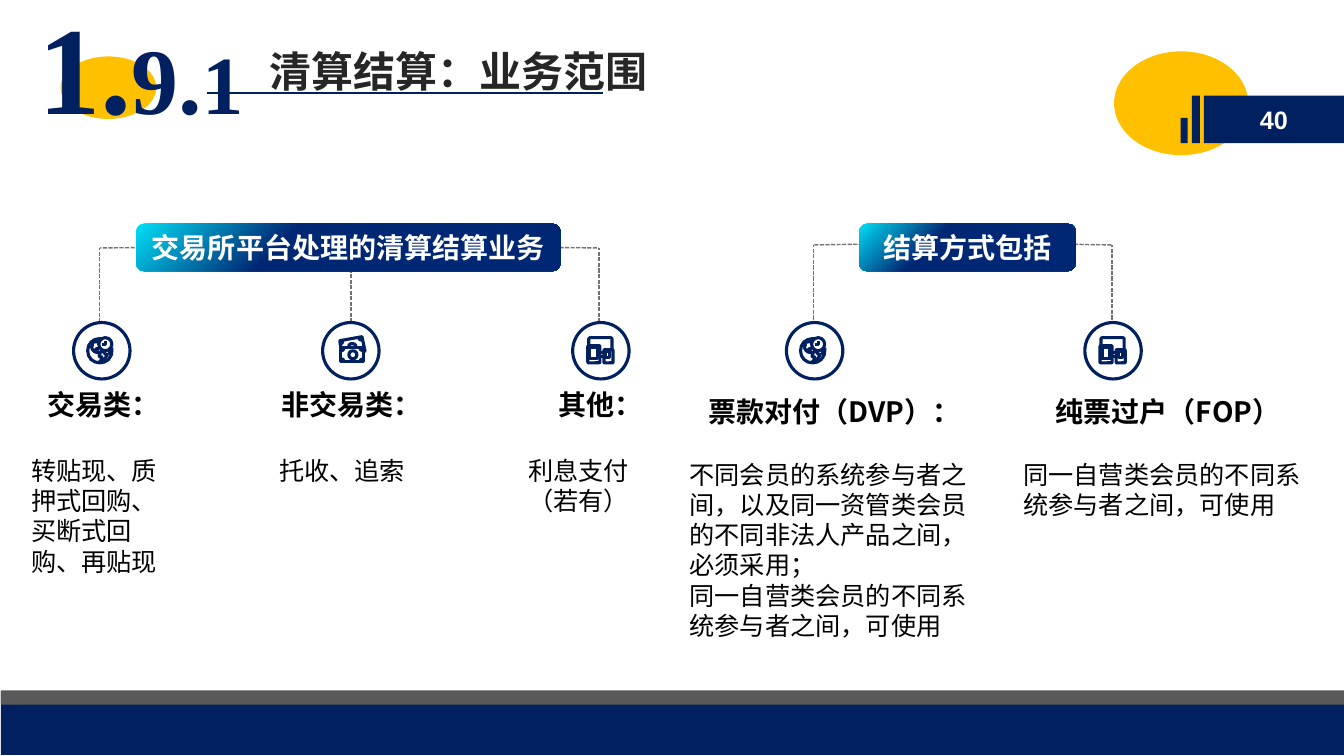
import pptx
import pptx.util
import pptx.dml.color
import pptx.enum.dml
import pptx.enum.shapes
import pptx.enum.text
import pptx.oxml.ns
import lxml.etree
import dataclasses

SCALE = 9144
SHAPE = pptx.enum.shapes.MSO_SHAPE
ALIGN = pptx.enum.text.PP_ALIGN
ANCHOR = pptx.enum.text.MSO_ANCHOR


@dataclasses.dataclass(frozen=True)
class Theme:
    navy: str = "002060"
    gold: str = "FFC000"
    gray: str = "595959"
    dash: str = "767171"
    ink: str = "262626"
    black: str = "000000"
    white: str = "FFFFFF"
    cyan: str = "00DFF6"
    deep: str = "002774"
    sans: str = "Noto Sans CJK SC"
    serif: str = "Times New Roman"
    latin: str = "Arial"
    title: int = 30
    head: int = 20
    body: int = 18
    section: tuple = (89, 67, 59)
    icon_line: float = 2.25


THEME = Theme()


def px(n):
    return pptx.util.Emu(round(n * SCALE))


def rgb(value):
    return pptx.dml.color.RGBColor.from_string(value)


def write(p, text, size=THEME.body, color=THEME.black, font=THEME.sans, bold=False):
    r = p.add_run()
    r.text = text
    r.font.size = pptx.util.Pt(size)
    r.font.bold = bold
    r.font.name = font
    r.font.color.rgb = rgb(color)
    ea = lxml.etree.SubElement(r.font._element, pptx.oxml.ns.qn("a:ea"))
    ea.set("typeface", font)


def curve(start, *beziers, steps=4):
    points = [start]
    for x1, y1, x2, y2, x3, y3 in beziers:
        x0, y0 = points[-1]
        for i in range(1, steps + 1):
            t = i / steps
            u = 1 - t
            a, b, c, d = u ** 3, 3 * u * u * t, 3 * u * t * t, t ** 3
            points.append((a * x0 + b * x1 + c * x2 + d * x3,
                           a * y0 + b * y1 + c * y2 + d * y3))
    return points


GLOBE = [
    ("oval", (25, 15, 13, 13)),
    ("path", [(28, 22), (32, 22), (32, 18)]),
    ("path", curve((29, 16), (28, 16, 27, 16, 26, 16), (19, 16, 14, 21, 14, 28),
                   (14, 35, 19, 40, 26, 40), (33, 40, 38, 35, 38, 28), (38, 27, 38, 26, 38, 25))),
    ("path", curve((26, 20), (25, 20, 24, 19, 23, 19), (21, 19, 17, 20, 18, 21),
                   (19, 22, 19, 23, 18, 23), (18, 25, 18, 27, 21, 29), (24, 30, 25, 30, 25, 30),
                   (25, 29, 24, 29, 24, 29), (23, 29, 23, 28, 23, 28), (24, 27, 23, 28, 22, 27),
                   (22, 26, 23, 26, 23, 26), (25, 26, 25, 25, 26, 24))),
    ("path", curve((26, 32), (26, 34, 24, 32, 26, 34), (27, 35, 28, 32, 28, 36),
                   (27, 39, 24, 39, 27, 39), (29, 38, 29, 38, 30, 37), (32, 35, 32, 34, 33, 33),
                   (34, 31, 33, 32, 31, 31), (31, 30, 29, 28, 27, 29), (26, 31, 26, 32, 26, 32))),
    ("path", curve((37, 26), (36, 28, 35, 30, 36, 31), (38, 32, 38, 31, 38, 31))),
]
CASH = [
    ("oval", (26, 28, 8, 8)),
    ("path", curve((26, 24), (26, 22, 27, 21, 29, 21), (32, 21, 33, 22, 33, 24))),
    ("rect", (18, 25, 23, 14)),
    ("path", curve((21, 25), (21, 27, 20, 28, 18, 28))),
    ("path", curve((41, 28), (39, 28, 37, 27, 37, 25))),
    ("path", curve((37, 39), (37, 37, 39, 36, 41, 36))),
    ("path", curve((18, 36), (20, 36, 21, 37, 21, 39))),
    ("path", [(18, 25), (17, 18), (39, 14), (42, 28), (41, 29)]),
    ("path", curve((20, 18), (20, 20, 19, 21, 17, 22))),
    ("path", curve((40, 17), (38, 18, 36, 17, 36, 15))),
]
DEVICES = [
    ("path", [(27, 34), (31, 34)]),
    ("path", [(27, 30), (31, 30)]),
    ("path", [(39, 27), (39, 16), (38, 15), (17, 15), (16, 16), (16, 23)]),
    ("round", (15, 23, 12, 17)),
    ("rect", (17, 25, 8, 11)),
    ("round", (31, 27, 9, 13)),
    ("rect", (33, 29, 4, 6)),
]
KINDS = {"oval": SHAPE.OVAL, "rect": SHAPE.RECTANGLE, "round": SHAPE.ROUNDED_RECTANGLE}


class Deck:
    def __init__(self, theme):
        self.theme = theme
        self.prs = pptx.Presentation()
        self.prs.slide_width, self.prs.slide_height = px(1333), px(750)
        self.s = self.prs.slides.add_slide(self.prs.slide_layouts[6])

    def style(self, sp, fill=None, line=None):
        sp.shadow.inherit = False
        if fill:
            sp.fill.solid()
            sp.fill.fore_color.rgb = rgb(fill)
        else:
            sp.fill.background()
        if line:
            sp.line.color.rgb = rgb(line)
            sp.line.width = pptx.util.Pt(self.theme.icon_line)
        else:
            sp.line.fill.background()
        return sp

    def shape(self, kind, x, y, w, h, fill=None, line=None):
        sp = self.s.shapes.add_shape(kind, px(x), px(y), px(w), px(h))
        return self.style(sp, fill, line)

    def label(self, sp, text, size, font):
        tf = sp.text_frame
        tf.vertical_anchor = ANCHOR.MIDDLE
        p = tf.paragraphs[0]
        p.alignment = ALIGN.CENTER
        write(p, text, size=size, color=self.theme.white, font=font, bold=True)

    def text(self, x, y, w, h):
        tf = self.s.shapes.add_textbox(px(x), px(y), px(w), px(h)).text_frame
        tf.word_wrap = True
        return tf

    def line(self, x1, y1, x2, y2, color, width, dash=None):
        c = self.s.shapes.add_connector(pptx.enum.shapes.MSO_CONNECTOR.STRAIGHT,
                                        px(x1), px(y1), px(x2), px(y2))
        c.line.color.rgb = rgb(color)
        c.line.width = pptx.util.Pt(width)
        c.line.dash_style = dash
        lxml.etree.SubElement(c._element.spPr, pptx.oxml.ns.qn("a:effectLst"))

    def dashed(self, *ends):
        self.line(*ends, self.theme.dash, 1, pptx.enum.dml.MSO_LINE.SQUARE_DOT)

    def branch(self, x, inner, y, bottom):
        self.dashed(x, bottom, x, y)
        self.dashed(inner, y - 2, x, y)

    def icon(self, x, y, parts):
        color = self.theme.navy
        self.shape(SHAPE.OVAL, x, y, 56, 56, line=color)
        for kind, data in parts:
            if kind == "path":
                points = [(px(x + a), px(y + b)) for a, b in data]
                fb = self.s.shapes.build_freeform(*points[0], scale=1.0)
                fb.add_line_segments(points[1:], close=points[0] == points[-1])
                self.style(fb.convert_to_shape(), line=color)
            else:
                left, top, w, h = data
                sp = self.shape(KINDS[kind], x + left, y + top, w, h, line=color)
                if kind == "round":
                    sp.adjustments[0] = 0.08

    def pill(self, x, w, text):
        sp = self.shape(SHAPE.ROUNDED_RECTANGLE, x, 222, w, 47)
        sp.fill.gradient()
        sp.fill.gradient_angle = 315
        stops = zip(sp.fill.gradient_stops, (0, 0.35), (self.theme.cyan, self.theme.deep))
        for stop, position, color in stops:
            stop.position = position
            stop.color.rgb = rgb(color)
        self.label(sp, text, self.theme.head, self.theme.sans)

    def column(self, x, y, w, h, head, paragraphs, gap, spacing=None):
        tf = self.text(x, y, w, h)
        p = tf.paragraphs[0]
        p.alignment = ALIGN.CENTER
        p.line_spacing = spacing
        write(p, head, size=self.theme.head, bold=True)
        for i, text in enumerate(paragraphs):
            p = tf.add_paragraph()
            p.space_before = pptx.util.Pt(0 if i else gap)
            p._p.get_or_add_pPr().set("hangingPunct", "0")
            write(p, text)


def main():
    t = THEME
    d = Deck(t)
    d.shape(SHAPE.OVAL, 1105, 51, 133, 103, t.gold)
    d.shape(SHAPE.RECTANGLE, 1, 686, 1332, 63, t.navy)
    d.shape(SHAPE.RECTANGLE, 1, 685, 1332, 14, t.gray)
    d.label(d.shape(SHAPE.RECTANGLE, 1194, 95, 139, 47, t.navy), "40", t.body, t.latin)
    d.shape(SHAPE.RECTANGLE, 1182, 95, 8, 47, t.navy)
    d.shape(SHAPE.RECTANGLE, 1171, 117, 7, 25, t.navy)
    d.shape(SHAPE.OVAL, 60, 56, 95, 62, t.gold)
    write(d.text(257, 40, 538, 61).paragraphs[0], "清算结算：业务范围",
          size=t.title, color=t.ink, bold=True)
    d.line(205, 92, 598, 92, t.navy, 1.5)
    p = d.text(28, -15, 308, 160).paragraphs[0]
    for text, size in zip(("1.", "9.", "1"), t.section):
        write(p, text, size=size, color=t.navy, font=t.serif, bold=True)

    for x, inner in ((99, 310), (594, 384)):
        d.branch(x, inner, 246, 320)
    d.dashed(348, 320, 348, 246)
    for x, inner in ((807, 933), (1103, 977)):
        d.branch(x, inner, 243, 317)
    d.pill(135, 421, "交易所平台处理的清算结算业务")
    d.pill(852, 215, "结算方式包括")
    for x, parts in ((73, GLOBE), (320, CASH), (568, DEVICES), (780, GLOBE), (1076, DEVICES)):
        d.icon(x, 320, parts)

    for x, head, body in ((21, "交易类：", "转贴现、质押式回购、买断式回购、再贴现"),
                          (267, "非交易类：", "托收、追索"),
                          (514, "其他：", "利息支付（若有）")):
        d.column(x, 380, 164, 184, head, [body], gap=24)
    same = "同一自营类会员的不同系统参与者之间，可使用"
    products = "不同会员的系统参与者之间，以及同一资管类会员的不同非法人产品之间，必须采用；"
    for x, head, body in ((674, "票款对付（DVP）：", [products, same]),
                          (1005, "纯票过户（FOP）", [same])):
        d.column(x, 370, 307, 214, head, body, gap=22, spacing=1.5)
    d.prs.save("out.pptx")


if __name__ == "__main__":
    main()
